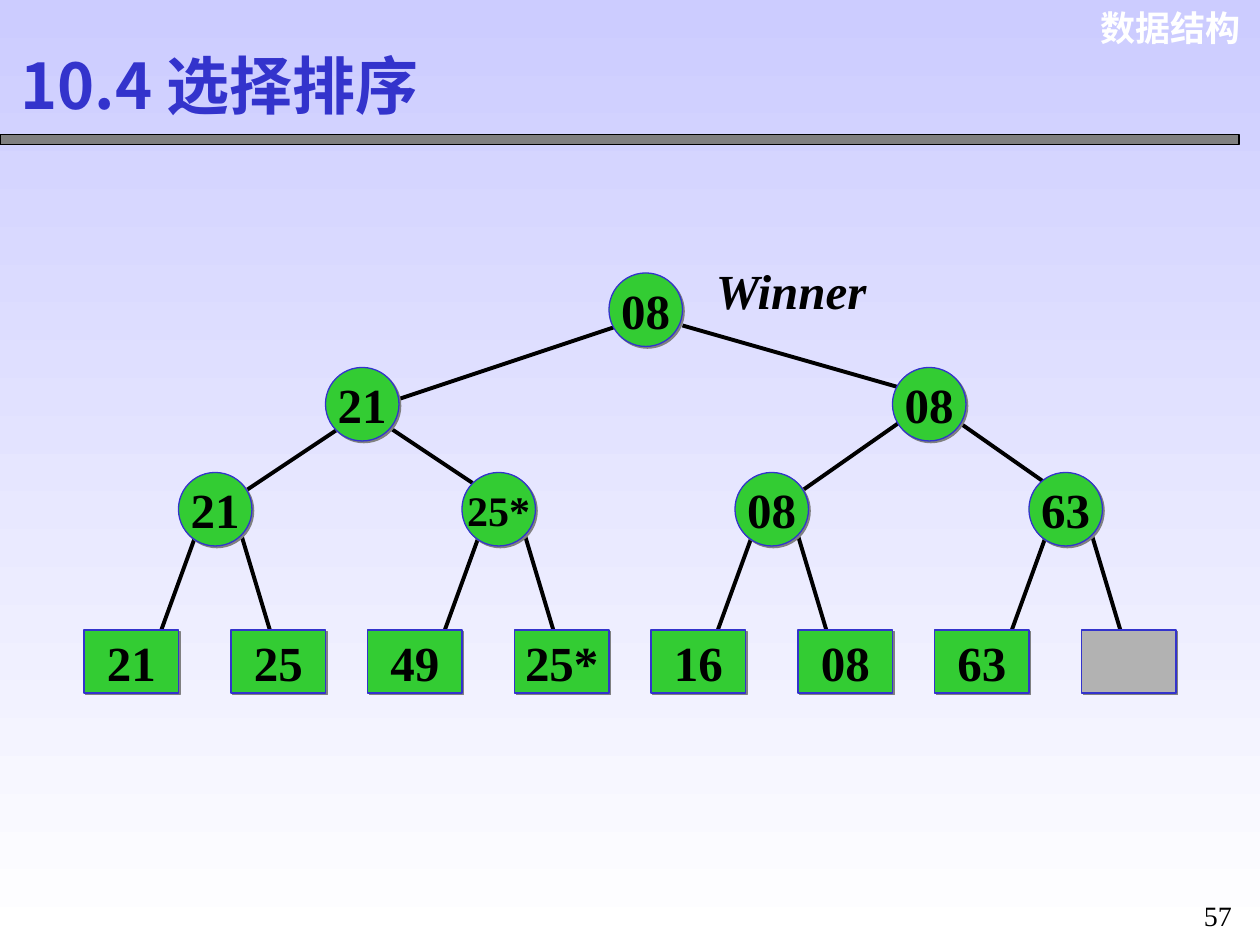
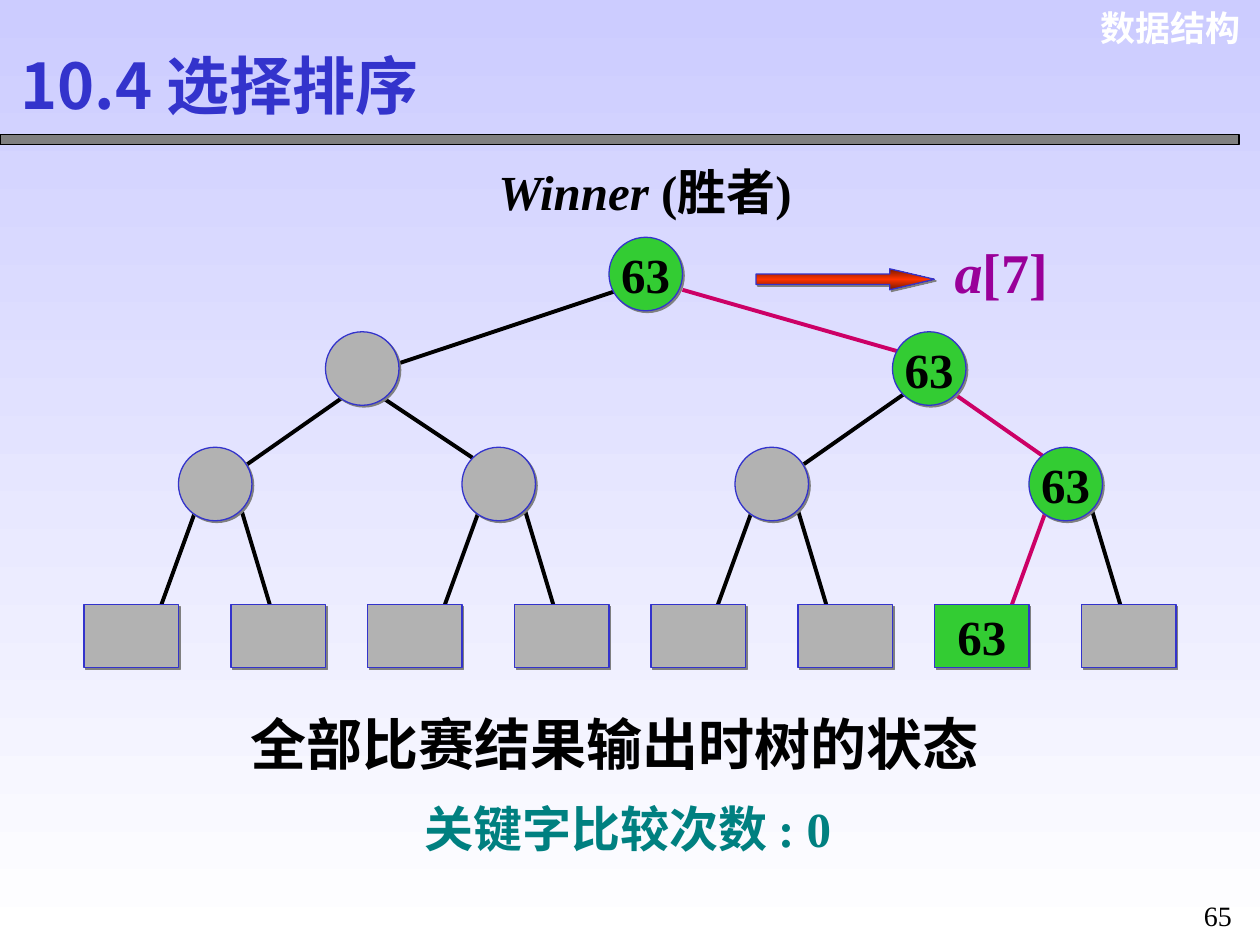
from dataclasses import dataclass
from typing import NamedTuple

from lxml import etree
from pptx import Presentation
from pptx.dml.color import RGBColor as Rgb
from pptx.enum.shapes import MSO_CONNECTOR as Link, MSO_SHAPE as Form
from pptx.enum.text import MSO_ANCHOR as Anchor, MSO_AUTO_SIZE as Fit, PP_ALIGN as Align
from pptx.oxml.ns import qn
from pptx.util import Inches, Pt


@dataclass(frozen=True)
class Theme:
    """Colours, fonts and type sizes of the deck."""
    sky: tuple = ("CCCCFF", "FFFFFF")
    ember: tuple = ("761800", "FF3300", "761800")
    ink: str = "000000"
    white: str = "FFFFFF"
    blue: str = "3333CC"
    green: str = "33CC33"
    gray: str = "B2B2B2"
    shade: str = "808080"
    pink: str = "CC0066"
    plum: str = "990099"
    teal: str = "008080"
    serif: str = "Times New Roman"
    sans: str = "Arial"
    cjk: str = "Noto Sans CJK SC"
    head: int = 36
    large: int = 32
    key: int = 28
    small: int = 24
    tag: int = 20
    page: int = 16


T = Theme()


class Box(NamedTuple):
    """Place on a grid of 120 columns by 90 rows."""
    col: float
    row: float
    wide: float
    high: float


class Bit(NamedTuple):
    """One run of text."""
    text: str
    size: int
    hue: str = T.ink
    bold: bool = True
    slant: bool = False
    font: str = T.serif


@dataclass(frozen=True)
class Label:
    box: Box
    bits: tuple
    align: Align = Align.LEFT
    wrap: bool = False
    grow: bool = True
    lead: float = 1.0


@dataclass(frozen=True)
class Tree:
    """Winner tree: keys in level order, top row of each level."""
    keys: tuple
    rows: tuple
    starts: tuple        # where the second level's edges leave their nodes
    trail: str = T.ink   # colour of edges that lead to a key


@dataclass(frozen=True)
class Page:
    number: str
    tree: Tree
    labels: tuple
    arrow: Box | None = None


# Node columns level by level, and the sizes of nodes and leaves
COLS = ((58,), (31, 85), (17, 44, 70, 98), (8, 22, 35, 49, 62, 76, 89, 103))
BALL, LEAF = (7, 7), (9, 6)

# Edge offsets from the corner of the parent and of the child
TOP = (((1, 5), (7, 3)), ((7, 5), (1, 2)))
MID_ENDS = ((6, 2), (1, 1), (6, 2), (3, 2))
LOW = (((2, 5), -2), ((6, 6), 9))   # end column counts from the parent


def unit(n: float) -> int:
    return Inches(n / 12)


def place(box: Box) -> list[int]:
    return [unit(n) for n in box]


def rgb(hue: str) -> Rgb:
    return Rgb.from_string(hue)


def blend(fill, root, hues: tuple) -> None:
    """Fill from top to bottom with evenly spaced colours."""
    fill.gradient()
    fill.gradient_angle = 270
    stops = next(root.iter(qn("a:gsLst")))
    for old in list(stops):
        stops.remove(old)
    for i, hue in enumerate(hues):
        stop = etree.SubElement(stops, qn("a:gs"), pos=str(100000 * i // (len(hues) - 1)))
        etree.SubElement(stop, qn("a:srgbClr"), val=hue)


def write(frame, bits: tuple, align: Align, lead: float = 1.0) -> None:
    para = frame.paragraphs[0]
    para.alignment = align
    if lead != 1:
        para.line_spacing = lead
    for bit in bits:
        run = para.add_run()
        run.text = bit.text
        font = run.font
        font.size, font.name = Pt(bit.size), bit.font
        font.bold, font.italic = bit.bold, bit.slant
        font.color.rgb = rgb(bit.hue)
        east = etree.SubElement(run._r.get_or_add_rPr(), qn("a:ea"))
        east.set("typeface", T.cjk)


def add_label(slide, label: Label, anchor: Anchor = Anchor.TOP) -> None:
    frame = slide.shapes.add_textbox(*place(label.box)).text_frame
    frame.word_wrap = label.wrap
    frame.auto_size = Fit.SHAPE_TO_FIT_TEXT if label.grow else Fit.NONE
    frame.vertical_anchor = anchor
    write(frame, label.bits, label.align, label.lead)


def add_form(slide, form: Form, box: Box, fill: str, edge: str, cast: bool = True):
    """Preset shape with a thin outline and, if asked, a hard shadow."""
    shape = slide.shapes.add_shape(form, *place(box))
    shape.fill.solid()
    shape.fill.fore_color.rgb = rgb(fill)
    shape.line.color.rgb = rgb(edge)
    shape.line.width = Pt(0.75)
    shape.shadow.inherit = False
    if cast:
        effect = shape._element.spPr.find(qn("a:effectLst"))
        drop = etree.SubElement(effect, qn("a:outerShdw"), blurRad="0",
                                dist=str(Pt(1.4)), dir="2700000", algn="ctr", rotWithShape="0")
        etree.SubElement(drop, qn("a:srgbClr"), val=T.shade)
    return shape


def add_edge(slide, start: tuple, end: tuple, hue: str) -> None:
    line = slide.shapes.add_connector(Link.STRAIGHT, *(unit(n) for n in start + end))
    line.line.color.rgb = rgb(hue)
    line.line.width = Pt(2.25)
    etree.SubElement(line._element.spPr, qn("a:effectLst"))


def add_node(slide, box: Box, key: str, leaf: bool) -> None:
    form = Form.RECTANGLE if leaf else Form.OVAL
    shape = add_form(slide, form, box, T.green if key else T.gray, T.blue)
    if key:
        frame = shape.text_frame
        frame.word_wrap = False
        frame.vertical_anchor = Anchor.MIDDLE
        size = T.small if len(key) > 2 and not leaf else T.key
        write(frame, (Bit(key, size),), Align.CENTER)


def add_tree(slide, tree: Tree) -> None:
    spots = [(col, tree.rows[deep], deep) for deep, cols in enumerate(COLS) for col in cols]
    # Edges lie under the nodes
    for kid in range(1, len(spots)):
        col, row, deep = spots[(kid - 1) // 2]
        kid_col, kid_row, _ = spots[kid]
        side = (kid - 1) % 2
        if deep == 0:
            leave, reach = TOP[side]
        elif deep == 1:
            leave, reach = tree.starts[kid - 3], MID_ENDS[kid - 3]
        else:
            leave, shift = LOW[side]
            reach = (col + shift - kid_col, 1)
        add_edge(slide, (col + leave[0], row + leave[1]),
                 (kid_col + reach[0], kid_row + reach[1]),
                 tree.trail if tree.keys[kid] else T.ink)
    # Round nodes and square leaves
    for (col, row, deep), key in zip(spots, tree.keys):
        leaf = deep == 3
        add_node(slide, Box(col, row, *(LEAF if leaf else BALL)), key, leaf)


def add_frame(slide, number: str) -> None:
    """Background, course tag, band, title and page number."""
    blend(slide.background.fill, slide._element, T.sky)
    add_label(slide, Label(Box(102.8, 0, 16.5, 5.3),
                           (Bit("数据结构", T.tag, T.white, font=T.sans),), Align.RIGHT, True))
    add_form(slide, Form.RECTANGLE, Box(0, 12.8, 118, 1), T.shade, T.ink, cast=False)
    add_label(slide, Label(Box(0.75, 3.5, 44.6, 9),
                           (Bit("10.4 选择排序", T.head, T.blue, font=T.cjk),),
                           wrap=True, grow=False), Anchor.MIDDLE)
    add_label(slide, Label(Box(113, 84, 6, 5.4), (Bit(number, T.page, bold=False),),
                           Align.CENTER, True, lead=1.3))


def add_page(deck, page: Page) -> None:
    slide = deck.slides.add_slide(deck.slide_layouts[6])
    add_frame(slide, page.number)
    add_tree(slide, page.tree)
    if page.arrow:
        arrow = add_form(slide, Form.RIGHT_ARROW, page.arrow, T.green, T.blue)
        arrow.adjustments[0], arrow.adjustments[1] = 0.5, 2.13
        blend(arrow.fill, arrow._element, T.ember)
    for label in page.labels:
        add_label(slide, label)


PAGES = (
    Page("57",
         Tree(("08", "21", "08", "21", "25*", "08", "63",
               "21", "25", "49", "25*", "16", "08", "63", ""),
              (26, 35, 45, 60), ((1, 6), (5, 5), (1, 5), (6, 5))),
         (Label(Box(67, 24.25, 18, 6.8), (Bit("Winner", T.key, slant=True),)),)),
    Page("65",
         Tree(("63", "", "63", "", "", "", "63", "", "", "", "", "", "", "63", ""),
              (22.6, 31.6, 42.6, 57.6), ((2, 6), (5, 6), (1, 6), (6, 6)), T.pink),
         (Label(Box(46.3, 14.75, 32.6, 6.8),
                (Bit("Winner ", T.key, slant=True), Bit("(胜者)", T.key))),
          Label(Box(22.7, 67, 75.1, 7.7), (Bit("全部比赛结果输出时树的状态", T.large),), wrap=True),
          Label(Box(89.75, 22, 11.3, 7.7),
                (Bit("a", T.large, T.plum, slant=True), Bit("[7]", T.large, T.plum))),
          Label(Box(39.25, 75.5, 44.6, 6.8), (Bit("关键字比较次数 : 0", T.key, T.teal),))),
         Box(72, 25.6, 17, 2)),
)


def main() -> None:
    deck = Presentation()
    deck.slide_width, deck.slide_height = unit(120), unit(90)
    for page in PAGES:
        add_page(deck, page)
    deck.save("out.pptx")


if __name__ == "__main__":
    main()
